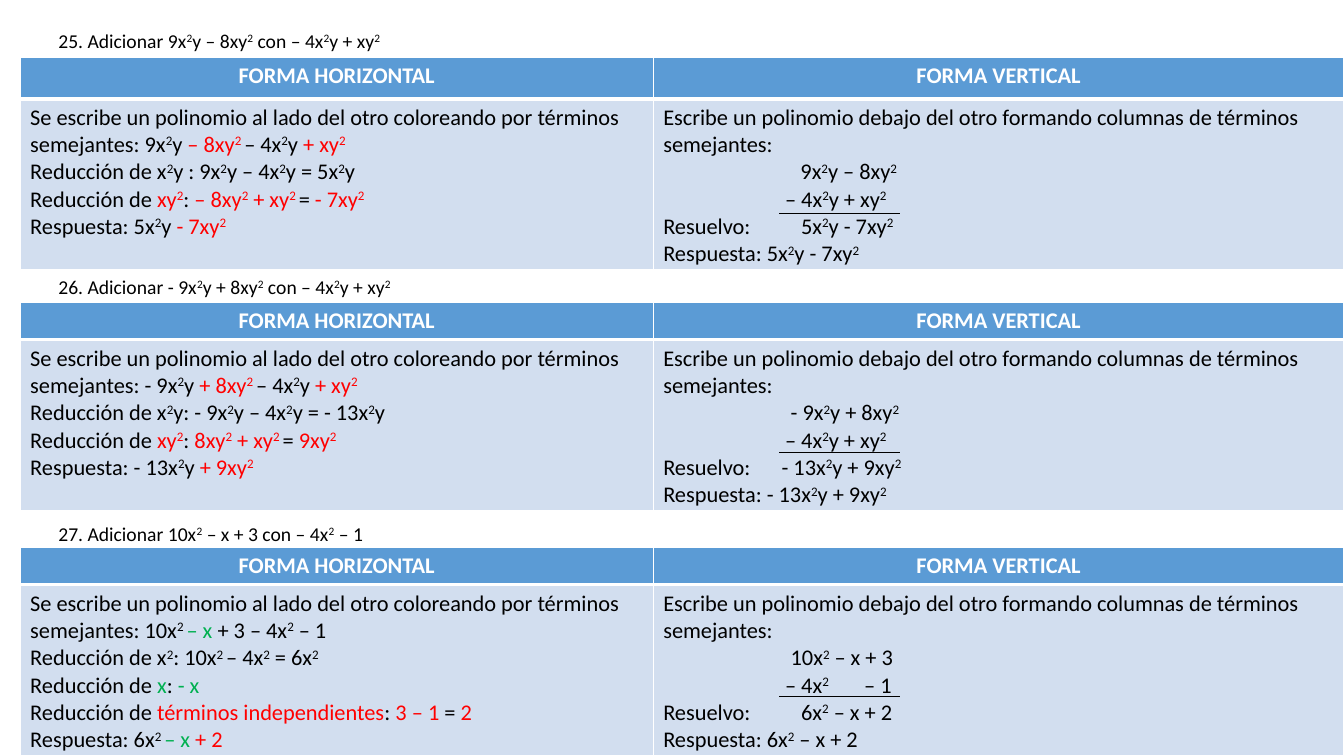
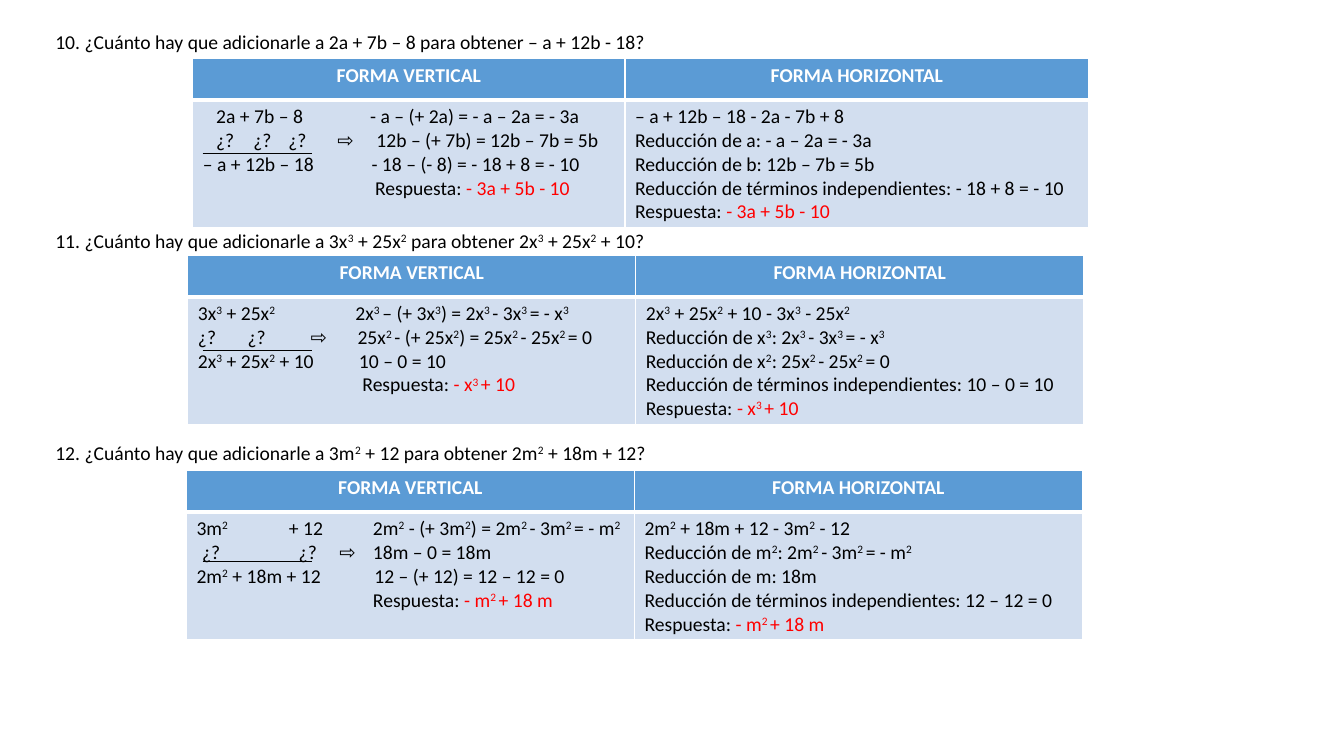
from lxml import etree
from pptx import Presentation
from pptx.dml.color import RGBColor
from pptx.enum.shapes import MSO_CONNECTOR
from pptx.enum.text import MSO_ANCHOR, PP_ALIGN
from pptx.oxml.ns import qn
from pptx.util import Pt

STRAIGHT = MSO_CONNECTOR.STRAIGHT
MIDDLE = MSO_ANCHOR.MIDDLE
LEFT, CENTER = PP_ALIGN.LEFT, PP_ALIGN.CENTER

COLORS = {
    "text": "000000", "white": "FFFFFF", "red": "FF0000", "green": "00B050",
    "header": "5B9BD5", "body": "D2DEEF",
}
FONT = "Calibri"
COLOR_MARKS = {"{": "red", "<": "green", "}": None}
RAISED = {"²": "2", "³": "3", "_": " "}

HORIZONTAL, VERTICAL = "FORMA HORIZONTAL", "FORMA VERTICAL"
BESIDE = "Se escribe un polinomio al lado del otro coloreando por términos semejantes: "
BELOW = "Escribe un polinomio debajo del otro formando columnas de términos semejantes:"

SUMS = [
    dict(
        caption="25. Adicionar 9x²y – 8xy² con – 4x²y + xy²",
        caption_top=17, table_top=41, header_height=29.5, rule_y=152.6,
        steps=[
            BESIDE + "9x²y {– 8xy²_}– 4x²y {+ xy²}",
            "Reducción de x²y : 9x²y – 4x²y = 5x²y",
            "Reducción de {xy²}: {– 8xy² + xy²_}={ - 7xy²}",
            "Respuesta: 5x²y {- 7xy²}",
        ],
        column=[
            BELOW,
            ("\t9x²y – 8xy²", 98),
            ("\t– 4x²y + xy²", 87),
            ("Resuelvo:\t5x²y - 7xy²", 98.5),
            "Respuesta: 5x²y - 7xy²",
        ],
    ),
    dict(
        caption="26. Adicionar - 9x²y + 8xy² con – 4x²y + xy²",
        caption_top=193, table_top=216, header_height=26.6, rule_y=323.3,
        steps=[
            BESIDE + "- 9x²y {+ 8xy²_}– 4x²y {+ xy²}",
            "Reducción de x²y: - 9x²y – 4x²y = - 13x²y",
            "Reducción de {xy²}: {8xy² + xy²_}={ 9xy²}",
            "Respuesta: - 13x²y {+ 9xy²}",
        ],
        column=[
            BELOW,
            ("\t- 9x²y + 8xy²", 91),
            ("\t– 4x²y + xy²", 87),
            ("Resuelvo:\t- 13x²y + 9xy²", 84.5),
            "Respuesta: - 13x²y + 9xy²",
        ],
    ),
    dict(
        caption="27. Adicionar 10x² – x + 3 con – 4x² – 1",
        caption_top=369, table_top=391, header_height=26.6, rule_y=497.5,
        steps=[
            BESIDE + "10x²_<– x} + 3 – 4x² – 1",
            "Reducción de x²: 10x²_– 4x² = 6x²",
            "Reducción de <x}: <- x}",
            "Reducción de {términos independientes}:{ 3 – 1 }={ 2}",
            "Respuesta: 6x²_<– x {+ 2}",
        ],
        column=[
            BELOW,
            ("\t10x² – x + 3", 91),
            ("\t– 4x²\t– 1", 87, 143.5),
            ("Resuelvo:\t6x² – x + 2", 98.5),
            "Respuesta: 6x² – x + 2",
        ],
    ),
]

MISSING_ADDENDS = [
    dict(
        caption="10. ¿Cuánto hay que adicionarle a 2a + 7b – 8 para obtener – a + 12b - 18?",
        caption_top=18, table_left=137.7, table_top=41.8,
        widths=(308.8, 331.2), rule_y=109.4,
        column=[
            ("\t2a + 7b – 8\t- a – (+ 2a) = - a – 2a = - 3a", 9.5, 119.5),
            ("\t¿?\t¿?\t¿?\t⇨\t12b – (+ 7b) = 12b – 7b = 5b", 9.5, 36, 61, 96, 124),
            ("– a + 12b – 18\t- 18 – (- 8) = - 18 + 8 = - 10", 120.5),
            ("\tRespuesta: {- 3a + 5b - 10}", 123),
        ],
        steps=[
            "– a + 12b – 18 - 2a - 7b + 8",
            "Reducción de a: - a – 2a = - 3a",
            "Reducción de b: 12b – 7b = 5b",
            "Reducción de términos independientes: - 18 + 8 = - 10",
            "Respuesta: {- 3a + 5b - 10}",
        ],
    ),
    dict(
        caption="11. ¿Cuánto hay que adicionarle a 3x³ + 25x² para obtener 2x³ + 25x² + 10?",
        caption_top=160, table_left=134.2, table_top=182.4,
        widths=(320, 320), rule_y=250.6,
        column=[
            ("3x³ + 25x²\t2x³_– (+ 3x³) = 2x³_- 3x³_= - x³", 112.5),
            ("¿?\t¿?\t⇨\t25x²_- (+ 25x²) = 25x²_- 25x²_= 0", 35.5, 80.5, 114),
            ("2x³ + 25x² + 10\t10 – 0 = 10", 115),
            ("\tRespuesta: {- x³_+ 10}", 117.5),
        ],
        steps=[
            "2x³ + 25x² + 10 - 3x³ - 25x²",
            "Reducción de x³: 2x³_- 3x³_= - x³",
            "Reducción de x²: 25x²_- 25x²_= 0",
            "Reducción de términos independientes: 10 – 0 = 10",
            "Respuesta: {- x³_+ 10}",
        ],
    ),
    dict(
        caption="12. ¿Cuánto hay que adicionarle a 3m² + 12 para obtener 2m² + 18m + 12?",
        caption_top=311, table_left=133.2, table_top=336.2,
        widths=(320, 320), rule_y=401,
        column=[
            ("3m²\t+ 12\t2m² - (+ 3m²) = 2m²_- 3m²_= - m²", 66, 126),
            ("\t¿?\t¿?\t⇨\t18m – 0 = 18m", 4, 73, 102, 126),
            ("2m² + 18m + 12\t12 – (+ 12) = 12 – 12 = 0", 127),
            ("\tRespuesta: {- m²_+ 18 m}", 126),
        ],
        steps=[
            "2m² + 18m + 12 - 3m² - 12",
            "Reducción de m²: 2m²_- 3m²_= - m²",
            "Reducción de m: 18m",
            "Reducción de términos independientes: 12 – 12 = 0",
            "Respuesta: {- m²_+ 18 m}",
        ],
    ),
]


def split_runs(text, color):
    runs, current = [], color
    for char in text:
        if char in COLOR_MARKS:
            current = COLOR_MARKS[char] or color
            continue
        style = (current, char in RAISED)
        char = RAISED.get(char, char)
        if runs and runs[-1][1] == style:
            runs[-1][0] += char
        else:
            runs.append([char, style])
    return runs


def write(frame, lines, size=14, color="text", bold=False, align=LEFT):
    for index, line in enumerate(lines):
        text, *stops = (line,) if isinstance(line, str) else line
        paragraph = frame.add_paragraph() if index else frame.paragraphs[0]
        paragraph.alignment = align
        if stops:
            tabs = etree.SubElement(paragraph._p.get_or_add_pPr(), qn("a:tabLst"))
            for stop in stops:
                etree.SubElement(tabs, qn("a:tab"), pos=str(Pt(stop)), algn="l")
        for content, (run_color, raised) in split_runs(text, color):
            run = paragraph.add_run()
            run.text = content
            run.font.name, run.font.size, run.font.bold = FONT, Pt(size), bold
            run.font.color.rgb = RGBColor.from_string(COLORS[run_color])
            if raised:
                run.font._rPr.set("baseline", "30000")


class Deck:
    def __init__(self):
        self.presentation = Presentation()
        self.presentation.slide_width = Pt(960)
        self.presentation.slide_height = Pt(540)
        self.slide = None

    def new_slide(self):
        self.slide = self.presentation.slides.add_slide(self.presentation.slide_layouts[6])

    def caption(self, text, left, top, width):
        box = self.slide.shapes.add_textbox(Pt(left), Pt(top), Pt(width), Pt(24))
        box.text_frame.word_wrap = True
        box.text_frame.vertical_anchor = MIDDLE
        write(box.text_frame, [text])

    def cell(self, cell, lines, fill, borders, **text_format):
        cell.fill.solid()
        cell.fill.fore_color.rgb = RGBColor.from_string(COLORS[fill])
        write(cell.text_frame, lines, **text_format)
        properties = cell._tc.get_or_add_tcPr()
        for position, (side, width) in enumerate(zip("LRTB", borders)):
            line = etree.Element(qn(f"a:ln{side}"), w=str(Pt(width)))
            solid = etree.SubElement(line, qn("a:solidFill"))
            etree.SubElement(solid, qn("a:srgbClr"), val=COLORS["white"])
            properties.insert(position, line)

    def methods_table(self, left, top, widths, heights, methods, size):
        table = self.slide.shapes.add_table(
            2, 2, Pt(left), Pt(top), Pt(sum(widths)), Pt(sum(heights))).table
        table.horz_banding = False
        for row, height in zip(table.rows, heights):
            row.height = Pt(height)
        for index, (heading, lines) in enumerate(methods):
            table.columns[index].width = Pt(widths[index])
            self.cell(table.cell(0, index), [heading], "header", (1, 1, 1, 3),
                      size=size, color="white", bold=True, align=CENTER)
            self.cell(table.cell(1, index), lines, "body", (1, 1, 3, 1), size=size)

    def rule(self, start, end, y):
        line = self.slide.shapes.add_connector(STRAIGHT, Pt(start), Pt(y), Pt(end), Pt(y))
        line.line.color.rgb = RGBColor.from_string(COLORS["text"])
        line.line.width = Pt(0.5)
        etree.SubElement(line._element.spPr, qn("a:effectLst"))


def main():
    deck = Deck()

    deck.new_slide()
    for item in SUMS:
        deck.caption(item["caption"], 34.6, item["caption_top"], 330)
        deck.methods_table(
            14.4, item["table_top"], (452.2, 493.4), (item["header_height"], 122.4),
            [(HORIZONTAL, item["steps"]), (VERTICAL, item["column"])], 16)
        deck.rule(556.6, 643, item["rule_y"])

    deck.new_slide()
    for item in MISSING_ADDENDS:
        deck.caption(item["caption"], 32.4, item["caption_top"], 600)
        deck.methods_table(
            item["table_left"], item["table_top"], item["widths"], (29.5, 91),
            [(VERTICAL, item["column"]), (HORIZONTAL, item["steps"])], 14)
        deck.rule(144.7, 223.2, item["rule_y"])

    deck.presentation.save("out.pptx")


if __name__ == "__main__":
    main()
